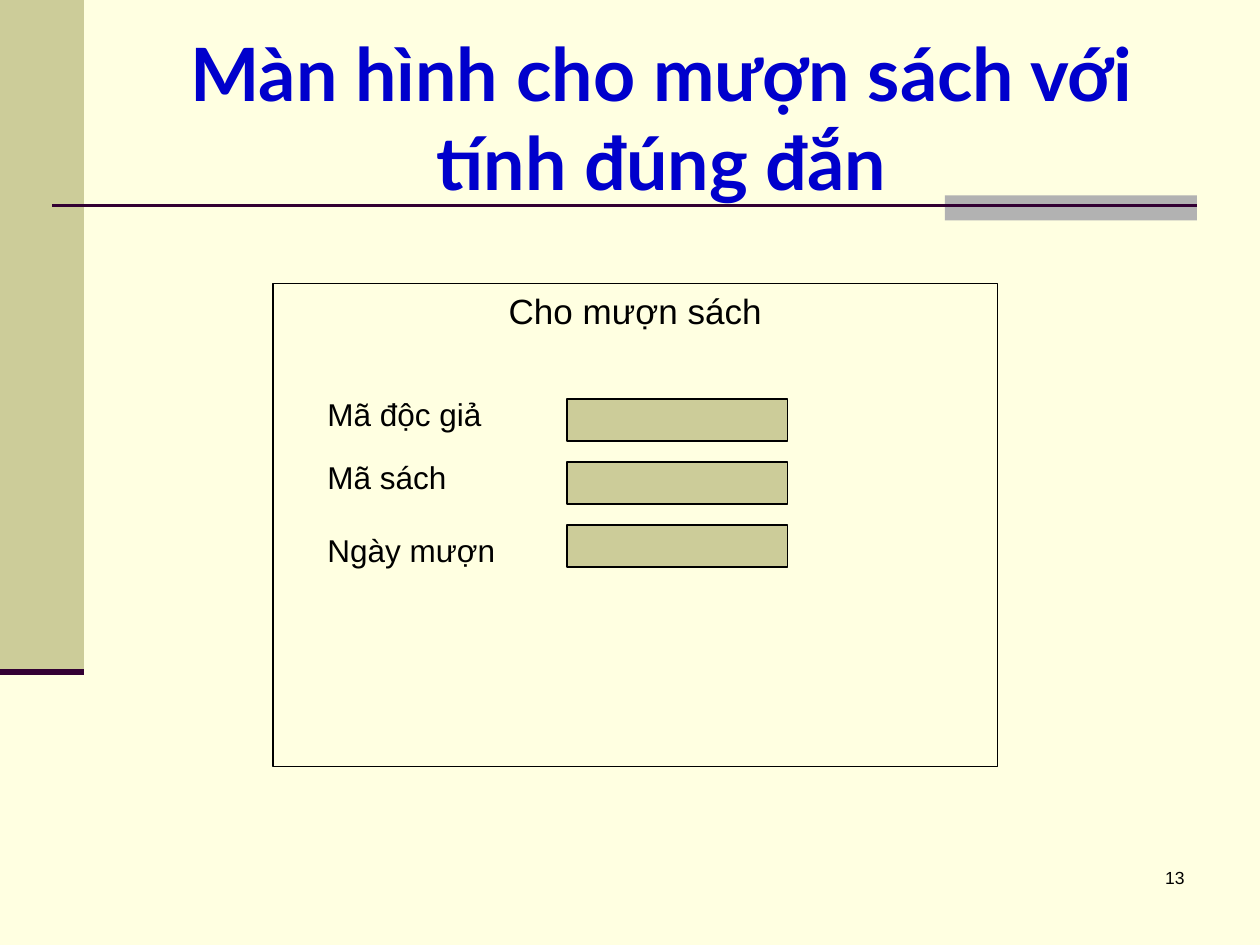
from lxml.etree import SubElement
from pptx import Presentation
from pptx.dml.color import RGBColor
from pptx.enum.shapes import MSO_CONNECTOR, MSO_SHAPE
from pptx.enum.text import MSO_ANCHOR, MSO_AUTO_SIZE, PP_ALIGN
from pptx.oxml.ns import qn
from pptx.util import Pt

PX = 7620  # EMU per px, 120 px to the inch

CREAM = RGBColor(0xFF, 0xFF, 0xE1)
KHAKI = RGBColor(0xCC, 0xCC, 0x99)
GRAY = RGBColor(0xB2, 0xB2, 0xB2)
PLUM = RGBColor(0x33, 0x00, 0x33)
BLUE = RGBColor(0x00, 0x00, 0xCC)
BLACK = RGBColor(0x00, 0x00, 0x00)

deck = Presentation()
deck.slide_width, deck.slide_height = 1200 * PX, 900 * PX
page = deck.slides.add_slide(deck.slide_layouts[5])
page.background.fill.solid()
page.background.fill.fore_color.rgb = CREAM


def add_rect(left, top, width, height, fill=None, outlined=False):
    rect = page.shapes.add_shape(
        MSO_SHAPE.RECTANGLE, left * PX, top * PX, width * PX, height * PX)
    rect.shadow.inherit = False
    if fill is None:
        rect.fill.background()
    else:
        rect.fill.solid()
        rect.fill.fore_color.rgb = fill
    if outlined:
        rect.line.color.rgb = BLACK
        rect.line.width = Pt(0.75)
    else:
        rect.line.fill.background()
    return rect


def write(box, text, size, align=PP_ALIGN.LEFT, font="Arial", color=BLACK):
    para = box.text_frame.paragraphs[0]
    para.alignment = align
    span = para.add_run()
    span.text = text
    span.font.size = Pt(size)
    span.font.name = font
    span.font.color.rgb = color
    return span


# Side band, accent bar and rules
add_rect(0, 0, 80, 640, KHAKI)
add_rect(900, 186, 240, 24, GRAY)
for left, right, y, weight in [(50, 1140, 196, 1.5), (0, 80, 640, 3.5)]:
    rule = page.shapes.add_connector(
        MSO_CONNECTOR.STRAIGHT, left * PX, y * PX, right * PX, y * PX)
    rule.line.color.rgb = PLUM
    rule.line.width = Pt(weight)
    SubElement(rule._element.spPr, qn("a:effectLst"))

# Title
title = page.shapes.title
title.left, title.top = 120 * PX, 36 * PX
title.width, title.height = 1020 * PX, 150 * PX
title.text_frame.auto_size = MSO_AUTO_SIZE.NONE
title.text_frame.vertical_anchor = MSO_ANCHOR.MIDDLE
write(title, "Màn hình cho mượn sách với tính đúng đắn", 42,
      PP_ALIGN.CENTER, "Lato", BLUE).font.bold = True

# Page number
number = page.shapes.add_textbox(890 * PX, 820 * PX, 250 * PX, 60 * PX)
number.text_frame.word_wrap = True
write(number, "13", 10, PP_ALIGN.RIGHT)

# Lending form window
window = add_rect(260, 270, 690, 460, outlined=True)
window.text_frame.word_wrap = False
window.text_frame.vertical_anchor = MSO_ANCHOR.TOP
write(window, "Cho mượn sách", 20, PP_ALIGN.CENTER)

# Form rows: label and input field
rows = [("Mã độc giả", 370), ("Mã sách", 430), ("Ngày mượn", 500)]
for index, (name, top) in enumerate(rows):
    label = page.shapes.add_textbox(300 * PX, top * PX, 210 * PX, 48 * PX)
    label.text_frame.word_wrap = True
    label.text_frame.auto_size = MSO_AUTO_SIZE.SHAPE_TO_FIT_TEXT
    write(label, name, 18)
    add_rect(540, 380 + 60 * index, 210, 40, KHAKI, outlined=True)

deck.save("out.pptx")
